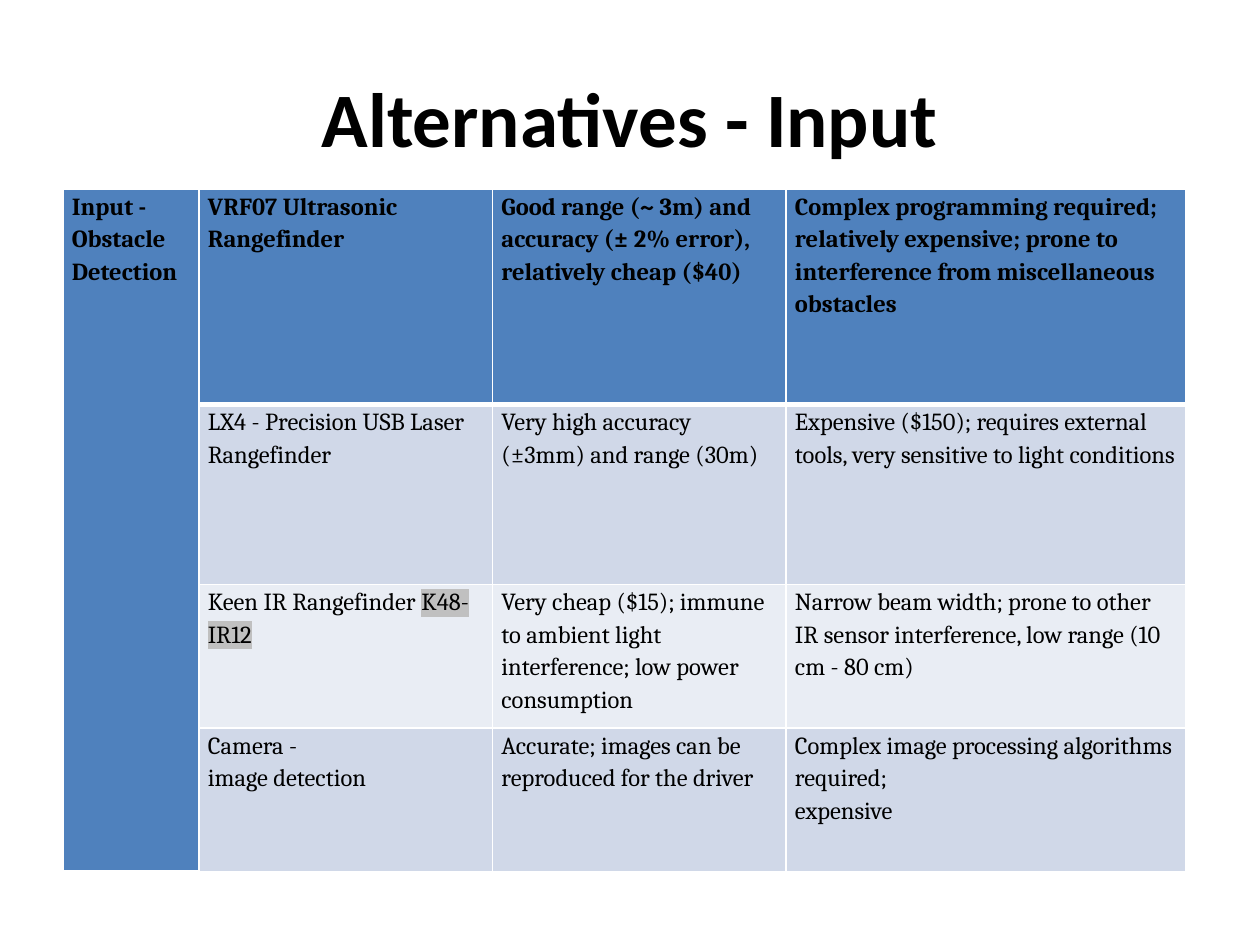
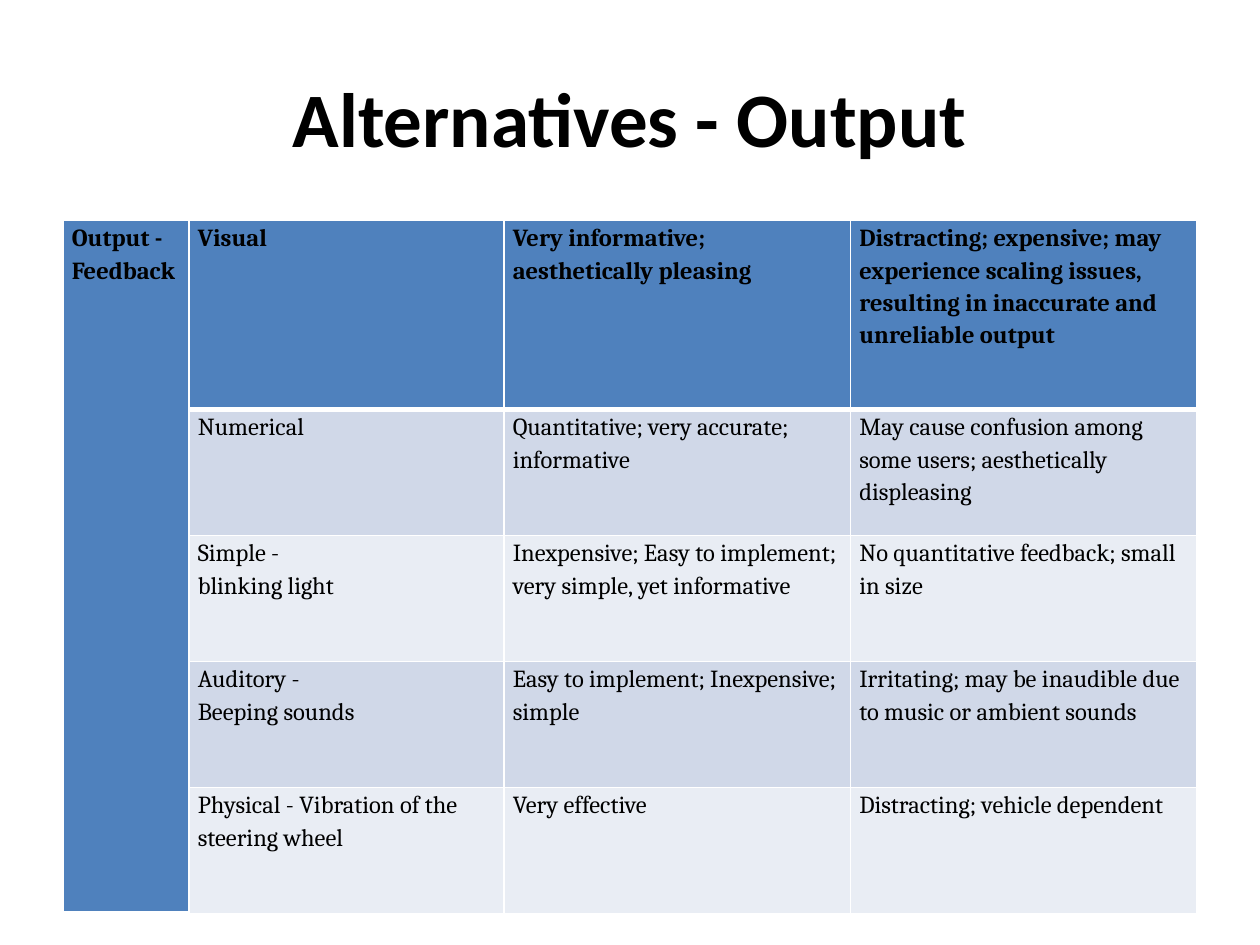
from lxml.etree import SubElement
from pptx import Presentation
from pptx.dml.color import RGBColor
from pptx.enum.text import MSO_ANCHOR as Anchor, PP_ALIGN as Align
from pptx.oxml.ns import qn
from pptx.util import Inches, Pt

BLACK, WHITE, GREY = "000000", "FFFFFF", "C0C0C0"
HEADER = "4F81BD"
BANDS = ("D0D8E8", "E9EDF4")
TITLE_BOX = (0.5, 0.3, 9, 1.25)


def colour(value):
    return RGBColor.from_string(value)


def add_run(paragraph, text, font, size, bold):
    run = paragraph.add_run()
    run.text = text
    run.font.name = font
    run.font.size = Pt(size)
    run.font.bold = bold
    run.font.color.rgb = colour(BLACK)
    return run


def highlight(run, shade):
    properties = run._r.get_or_add_rPr()
    marker = SubElement(properties, qn("a:highlight"))
    SubElement(marker, qn("a:srgbClr"), val=shade)
    properties.find(qn("a:solidFill")).addnext(marker)


def add_title(slide, box, text):
    title = slide.shapes.add_textbox(*map(Inches, box))
    frame = title.text_frame
    frame.word_wrap = True
    frame.vertical_anchor = Anchor.MIDDLE
    paragraph = frame.paragraphs[0]
    paragraph.alignment = Align.CENTER
    add_run(paragraph, text, "Calibri", 44, True)


def set_borders(cell, top, bottom):
    properties = cell._tc.get_or_add_tcPr()
    for side, width in (("L", 1), ("R", 1), ("T", top), ("B", bottom)):
        line = SubElement(properties, qn(f"a:ln{side}"), w=str(Pt(width)))
        SubElement(SubElement(line, qn("a:solidFill")), qn("a:srgbClr"), val=WHITE)


def fill_cell(cell, content, row):
    set_borders(cell, 3 if row == 1 else 1, 3 if row == 0 else 1)
    cell.fill.solid()
    cell.fill.fore_color.rgb = colour(BANDS[(row - 1) % 2] if row else HEADER)
    cell.margin_left = cell.margin_right = Inches(0.07)
    cell.margin_top = cell.margin_bottom = 0
    paragraph = cell.text_frame.paragraphs[0]
    paragraph.line_spacing = 1.15
    plain, marked = content if isinstance(content, tuple) else (content, "")
    for number, line in enumerate(plain.split("\n")):
        if number:
            paragraph.add_line_break()
        add_run(paragraph, line, "Cambria", 14, row == 0)
    if marked:
        highlight(add_run(paragraph, marked, "Cambria", 14, False), GREY)


def add_options(slide, left, top, widths, heights, category, options):
    table = slide.shapes.add_table(
        len(heights), len(widths), Inches(left), Inches(top),
        Inches(sum(widths)), Inches(sum(heights))).table
    for column, width in zip(table.columns, widths):
        column.width = Inches(width)
    for row, height in zip(table.rows, heights):
        row.height = Inches(height)
    table.cell(0, 0).merge(table.cell(len(heights) - 1, 0))
    fill_cell(table.cell(0, 0), category, 0)
    for row, option in enumerate(options):
        for column, content in enumerate(option, 1):
            fill_cell(table.cell(row, column), content, row)


INPUTS = [
    ("VRF07 Ultrasonic\nRangefinder",
     "Good range (~ 3m) and accuracy (± 2% error), relatively cheap ($40)",
     "Complex programming required; relatively expensive; prone to "
     "interference from miscellaneous obstacles"),
    ("LX4 - Precision USB Laser Rangefinder",
     "Very high accuracy (±3mm) and range (30m)",
     "Expensive ($150); requires external tools, very sensitive to light conditions"),
    (("Keen IR Rangefinder ", "K48-IR12"),
     "Very cheap ($15); immune to ambient light interference; low power consumption",
     "Narrow beam width; prone to other IR sensor interference, "
     "low range (10 cm - 80 cm)"),
    ("Camera -\nimage detection",
     "Accurate; images can be reproduced for the driver",
     "Complex image processing algorithms required;\nexpensive"),
]
OUTPUTS = [
    ("Visual",
     "Very informative; aesthetically pleasing",
     "Distracting; expensive; may experience scaling issues, "
     "resulting in inaccurate and unreliable output"),
    ("Numerical",
     "Quantitative; very accurate; informative",
     "May cause confusion among some users; aesthetically displeasing"),
    ("Simple -\nblinking light",
     "Inexpensive; Easy to implement; very simple, yet informative",
     "No quantitative feedback; small in size"),
    ("Auditory -\nBeeping sounds",
     "Easy to implement; Inexpensive; simple",
     "Irritating; may be inaudible due to music or ambient sounds"),
    ("Physical - Vibration of the\nsteering wheel",
     "Very effective",
     "Distracting; vehicle dependent"),
]
SLIDES = [
    ("Alternatives - Input", 1.5, (1.08, 2.33, 2.33, 3.17),
     (1.71, 1.43, 1.14, 1.14), "Input -\nObstacle Detection", INPUTS),
    ("Alternatives - Output", 1.75, (1, 2.5, 2.75, 2.75),
     (1.5, 1, 1, 1, 1), "Output - Feedback", OUTPUTS),
]

deck = Presentation()
deck.slide_width, deck.slide_height = Inches(10), Inches(7.5)
for heading, top, widths, heights, category, options in SLIDES:
    slide = deck.slides.add_slide(deck.slide_layouts[6])
    add_title(slide, TITLE_BOX, heading)
    add_options(slide, 0.5, top, widths, heights, category, options)
deck.save("out.pptx")
